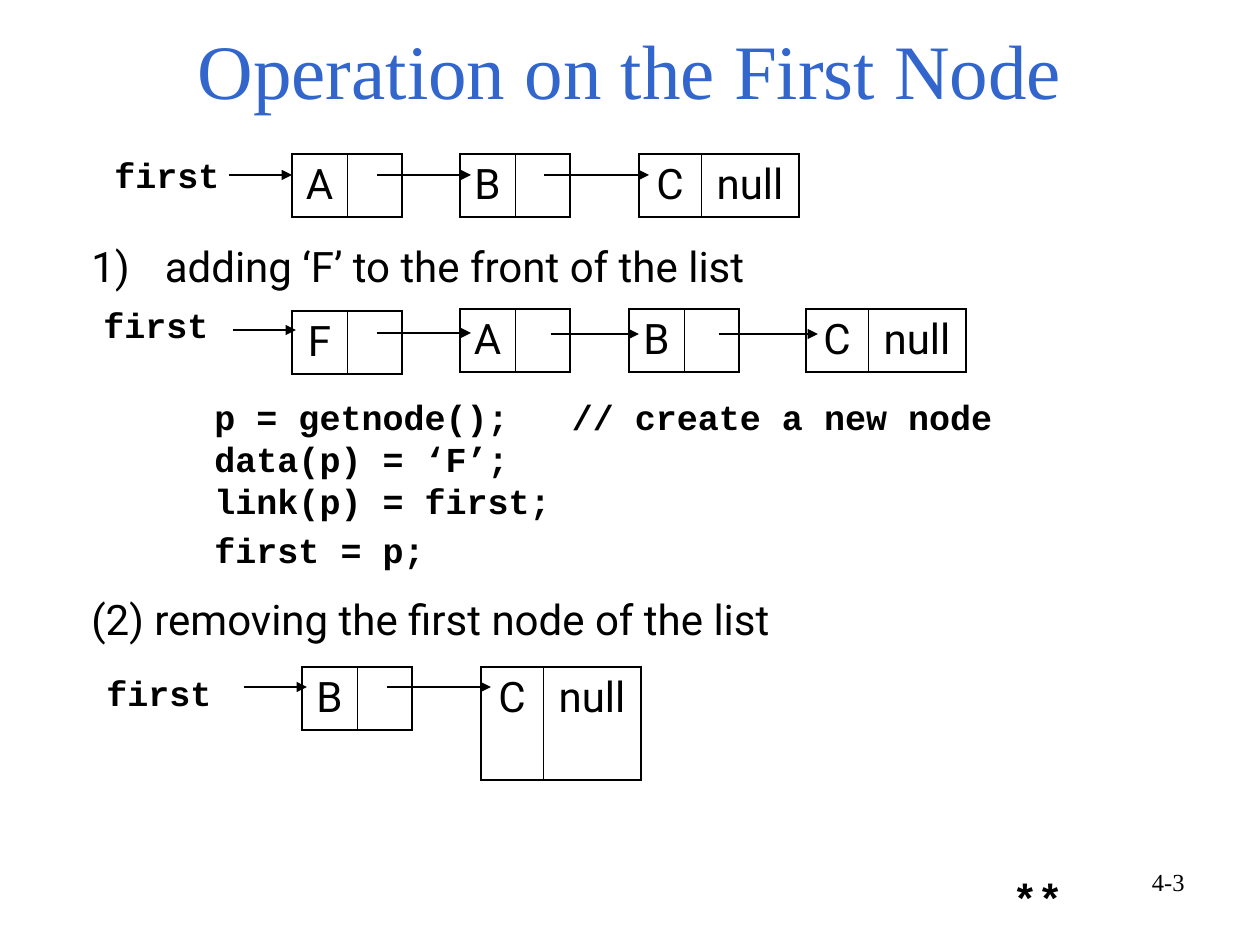
"""Build the slide on adding and removing the first node of a linked list."""
from lxml import etree
from pptx import Presentation, util as u
from pptx.dml.color import RGBColor
from pptx.enum import shapes, text
from pptx.oxml import parse_xml
from pptx.oxml.ns import nsdecls, qn

BLACK = "000000"
MONO, SANS, SERIF = "Courier New", "Roboto", "Times New Roman"
ALIGN = text.PP_ALIGN


def px(length):
    return u.Emu(round(length * 914400 / 126))


def write(frame, content, size=24, font=SANS, color=BLACK, bold=False, align=ALIGN.LEFT, before=0):
    frame.text = content
    for paragraph in frame.paragraphs:
        paragraph.alignment = align
        paragraph.space_before = u.Pt(before)
        for run in paragraph.runs:
            run.font.size = u.Pt(size)
            run.font.name = font
            run.font.bold = bold
            run.font.color.rgb = RGBColor.from_string(color)


presentation = Presentation()
presentation.slide_width, presentation.slide_height = px(1260), px(945)
slide = presentation.slides.add_slide(presentation.slide_layouts[5])

title = slide.shapes.title
title.left, title.top, title.width, title.height = px(26), px(16), px(1208), px(106)
title.text_frame.vertical_anchor = text.MSO_ANCHOR.MIDDLE
write(title.text_frame, "Operation on the First Node", size=44, font=SERIF, color="3366CC", align=ALIGN.CENTER)

nodes = [
    (292, 154, 63, "A", ""), (460, 154, 63, "B", ""), (639, 154, 63, "C", "null"),
    (292, 311, 63, "F", ""), (460, 309, 63, "A", ""), (629, 309, 63, "B", ""), (806, 309, 63, "C", "null"),
    (302, 667, 63, "B", ""), (481, 667, 113, "C", "null"),
]
for left, top, height, data, link in nodes:
    widths = (62, 98) if link else (55, 55)
    table = slide.shapes.add_table(1, 2, px(left), px(top), px(sum(widths)), px(height)).table
    table.first_row = table.horz_banding = False
    table.rows[0].height = px(height)
    for column, (width, content, inner) in enumerate(zip(widths, (data, link), "RL")):
        table.columns[column].width = px(width)
        cell = table.cell(0, column)
        write(cell.text_frame, content, align=ALIGN.CENTER, before=6)
        properties = cell._tc.get_or_add_tcPr()
        for side in "LRTB":
            thickness = u.Pt(0.45 if side == inner else 1.08)
            properties.append(parse_xml(
                f'<a:ln{side} {nsdecls("a")} w="{thickness}"><a:solidFill>'
                f'<a:srgbClr val="{BLACK}"/></a:solidFill></a:ln{side}>'))
        cell.fill.background()

arrows = [
    (229, 292, 175), (377, 471, 175), (544, 649, 175),
    (233, 296, 330), (377, 471, 333), (551, 639, 334), (719, 818, 334),
    (244, 307, 687), (387, 491, 687),
]
for start, end, y in arrows:
    arrow = slide.shapes.add_connector(shapes.MSO_CONNECTOR.STRAIGHT, px(start), px(y), px(end), px(y))
    arrow.line.color.rgb = RGBColor.from_string(BLACK)
    arrow.line.width = u.Pt(0.75)
    etree.SubElement(arrow.line._get_or_add_ln(), qn("a:tailEnd"), type="triangle")
    etree.SubElement(arrow._element.spPr, qn("a:effectLst"))

code = "p = getnode();   // create a new node\ndata(p) = ‘F’;\nlink(p) = first;\nfirst = p;"
mono = dict(size=20, font=MONO, bold=True)
labels = [
    (102, 147, 130, 55, "first", mono),
    (91, 297, 130, 55, "first", mono),
    (94, 665, 130, 55, "first", mono),
    (79, 234, 726, 63, " adding ‘F’ to the front of the list", {}),
    (202, 389, 891, 189, code, mono),
    (79, 587, 746, 63, "(2) removing the first node of the list", {}),
    (1000, 866, 76, 63, "**", dict(mono, size=24)),
    (903, 861, 294, 66, "4-3", dict(size=14, font=SERIF, align=ALIGN.RIGHT)),
]
boxes = {}
for left, top, width, height, content, style in labels:
    box = slide.shapes.add_textbox(px(left), px(top), px(width), px(height))
    box.text_frame.word_wrap = content != "first"
    write(box.text_frame, content, **style)
    boxes[content] = box.text_frame

boxes[code].paragraphs[-1].space_before = u.Pt(4)
numbered = boxes[labels[3][4]].paragraphs[0]._p.get_or_add_pPr()
numbered.set("marL", str(px(63)))
numbered.set("indent", str(-px(63)))
etree.SubElement(numbered, qn("a:buFont"), typeface=SANS)
etree.SubElement(numbered, qn("a:buAutoNum"), type="arabicParenR")

presentation.save("out.pptx")
